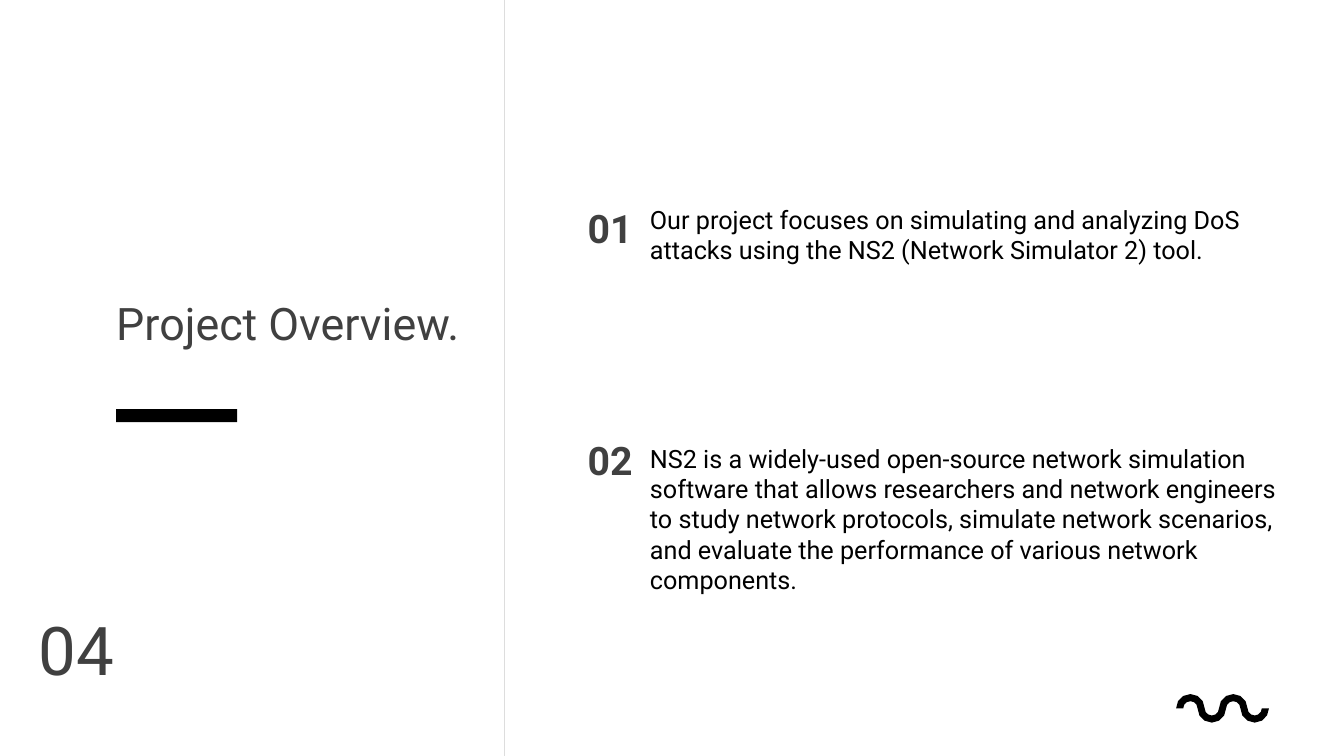
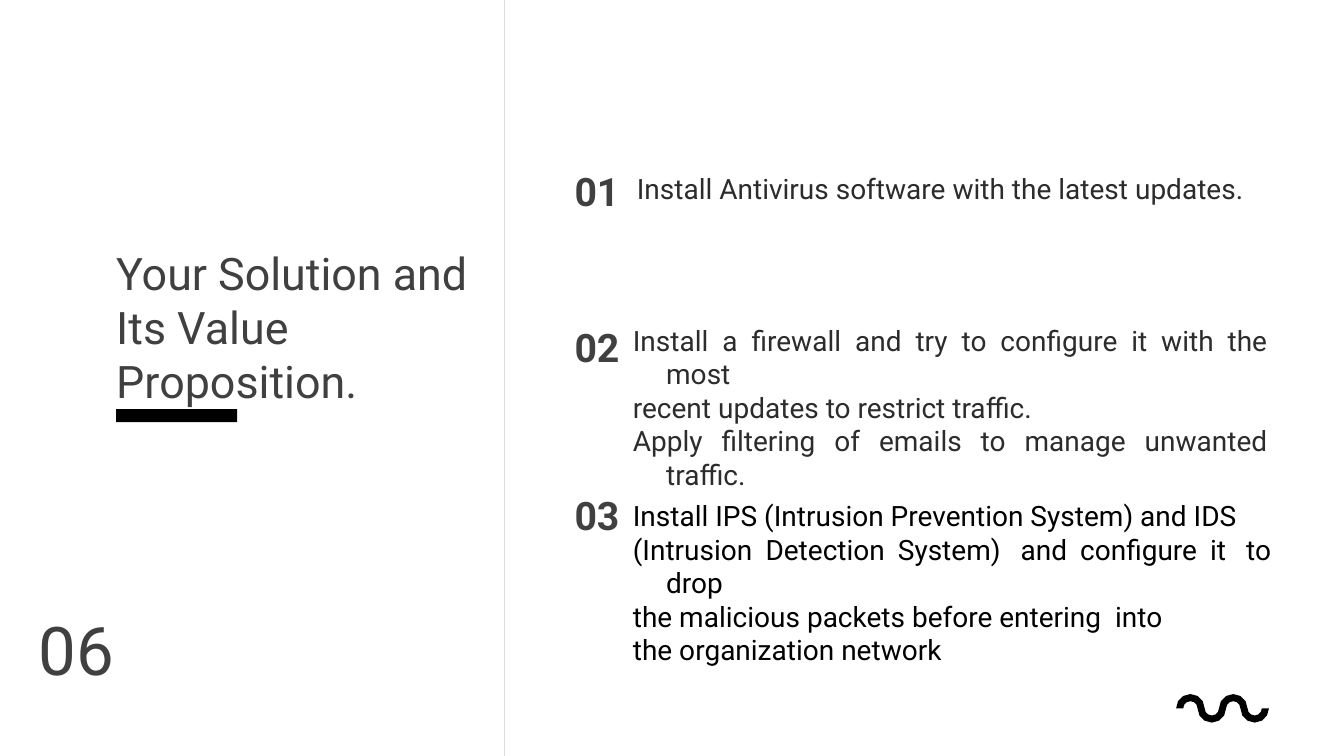
from math import cos, pi, sin

from lxml.etree import SubElement
from pptx import Presentation
from pptx.dml.color import RGBColor
from pptx.enum.shapes import MSO_CONNECTOR as Link, MSO_SHAPE as Form
from pptx.enum.text import MSO_AUTO_SIZE as Fit, PP_ALIGN as Align
from pptx.oxml.ns import qn
from pptx.util import Cm, Pt

WIDE, HIGH = 33.87, 19.05
HARD = chr(160)


def paint(code):
    return RGBColor.from_string(code)


class Deck:
    font = "Roboto"
    ink = "000000"
    gray = "404040"
    soft = "2C2C2C"
    rule = "DDDDDD"
    left = 2.93
    split = 12.72

    def __init__(self):
        self.file = Presentation()
        self.file.slide_width = Cm(WIDE)
        self.file.slide_height = Cm(HIGH)

    def page(self, num, title, top, tall):
        self.slide = self.file.slides.add_slide(self.file.slide_layouts[6])
        self.text([title], self.left, top, 9.78, tall, 32, self.gray)
        self.text([num], 0.93, 15.32, 2, 2.06, 48, self.gray, align=Align.CENTER)
        self.line(self.split, 0, self.split, HIGH)
        self.bar(self.left, 10.31, 3.05, 0.33)
        self.wave(30, 17.85)

    def text(self, lines, x, y, w, h, size, color, bold=False, align=None, hang=0):
        frame = self.slide.shapes.add_textbox(Cm(x), Cm(y), Cm(w), Cm(h)).text_frame
        frame.word_wrap = True
        frame.auto_size = Fit.SHAPE_TO_FIT_TEXT
        frame.margin_left = frame.margin_right = 0
        frame.margin_top = frame.margin_bottom = 0
        frame.text = "\n".join(lines)
        for para in frame.paragraphs:
            if hang:
                props = para._p.get_or_add_pPr()
                props.set("marL", str(Cm(hang)))
                props.set("indent", str(-Cm(hang)))
            para.alignment = align
            font = para.font
            font.name, font.size, font.bold = self.font, Pt(size), bold
            font.color.rgb = paint(color)

    def label(self, num, x, y):
        self.text([num], x, y, 1.57, 1.19, 28, self.gray, bold=True)

    def line(self, x1, y1, x2, y2):
        line = self.slide.shapes.add_connector(Link.STRAIGHT, Cm(x1), Cm(y1), Cm(x2), Cm(y2))
        line.line.color.rgb = paint(self.rule)
        line.line.width = Pt(1)
        SubElement(line._element.spPr, qn("a:effectLst"))

    def fill(self, shape):
        shape.shadow.inherit = False
        shape.fill.solid()
        shape.fill.fore_color.rgb = paint(self.ink)
        shape.line.fill.background()

    def bar(self, x, y, w, h):
        self.fill(self.slide.shapes.add_shape(Form.RECTANGLE, Cm(x), Cm(y), Cm(w), Cm(h)))

    def wave(self, x, y, big=0.36, small=0.18, bends=4, steps=6):
        def edge(radii):
            dots = []
            for bend in range(bends):
                mid = x + bend * (big + small)
                rad, way = radii[bend % 2], (-1) ** bend
                for step in range(bend > 0, steps + 1):
                    turn = pi * step / steps
                    dots.append((Cm(mid - rad * cos(turn)), Cm(y - way * rad * sin(turn))))
            return dots

        dots = edge((big, small)) + edge((small, big))[::-1]
        pen = self.slide.shapes.build_freeform(*dots[0])
        pen.add_line_segments(dots[1:], close=True)
        self.fill(pen.convert_to_shape())


def main():
    deck = Deck()

    deck.page("04", "Project Overview.", 7.44, 2.74)
    goals = [
        ("01", 5.14, 5.14, 1.54, "Our project focuses on simulating and analyzing DoS attacks "
         "using the NS2 (Network Simulator 2) tool."),
        ("02", 11, 11.17, 3.07, "NS2 is a widely-used open-source network simulation software "
         "that allows researchers and network engineers to study network protocols, "
         "simulate network scenarios, and evaluate the performance of various "
         "network components."),
    ]
    for num, mark, top, h, words in goals:
        deck.label(num, 14.81, mark)
        deck.text([words], 16.38, top, 16, h, 18, deck.ink)

    deck.page("06", "Your Solution and Its Value Proposition.", 6.2, 4.11)
    fixes = [
        ("01", 4.22, 16.05, 4.32, 16, 0.86, deck.soft, [
            "Install Antivirus software with the latest updates."]),
        ("02", 8.14, 15.95, 8.14, 16, 4.27, deck.soft, [
            "Install a firewall and try to configure it with the most",
            "recent updates to restrict traffic.",
            "Apply filtering of emails to manage unwanted traffic."]),
        ("03", 12.39, 15.95, 12.56, 16.1, 4.27, deck.ink, [
            "Install IPS (Intrusion Prevention System) and IDS",
            f"(Intrusion Detection System){HARD} and configure it{HARD} to drop",
            f"the{HARD}malicious packets before entering{HARD} into",
            f"the{HARD}organization network"]),
    ]
    for num, mark, x, top, w, h, color, lines in fixes:
        deck.label(num, 14.48, mark)
        deck.text(lines, x, top, w, h, 20, color, align=Align.JUSTIFY, hang=0.84)

    deck.file.save("out.pptx")


if __name__ == "__main__":
    main()
